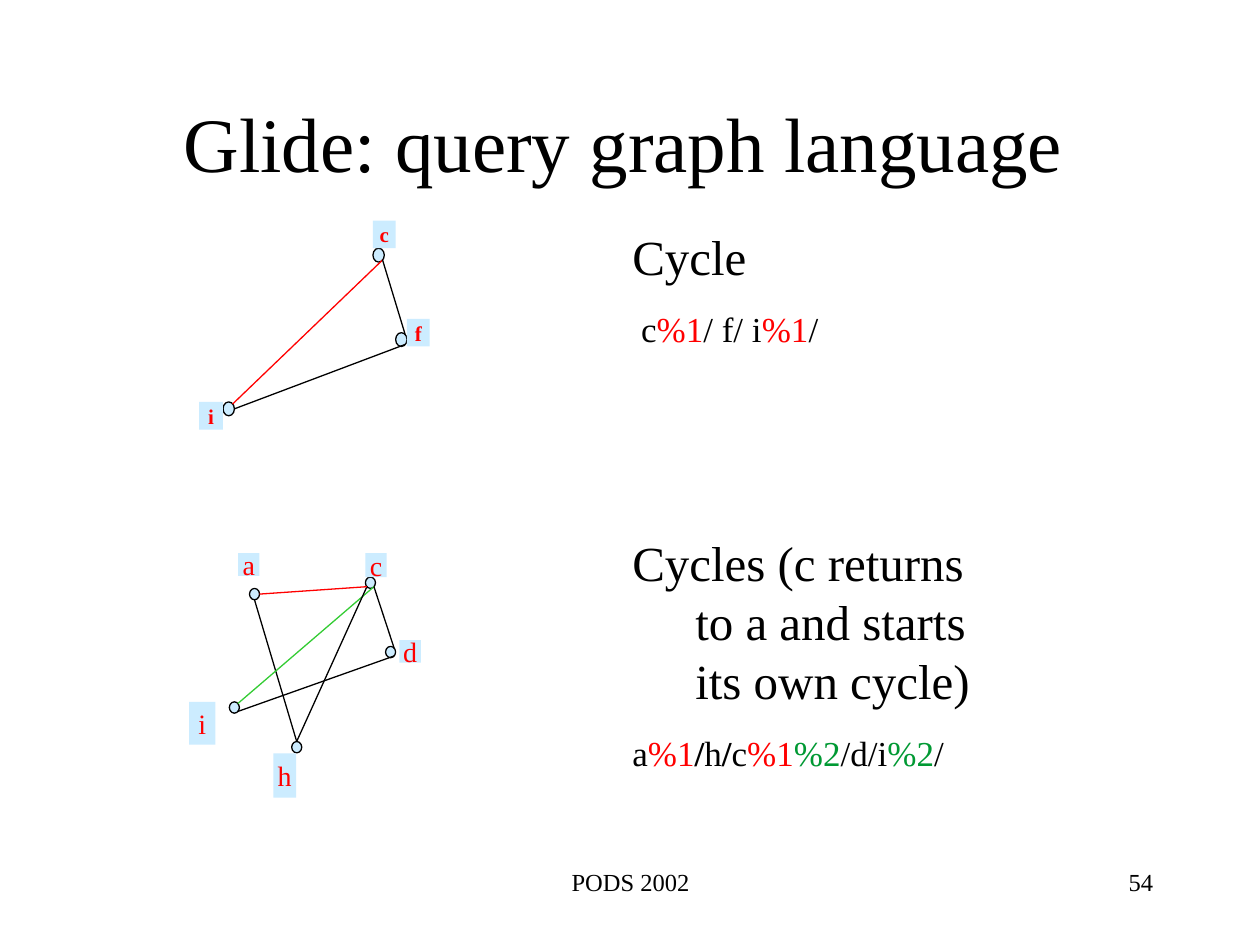
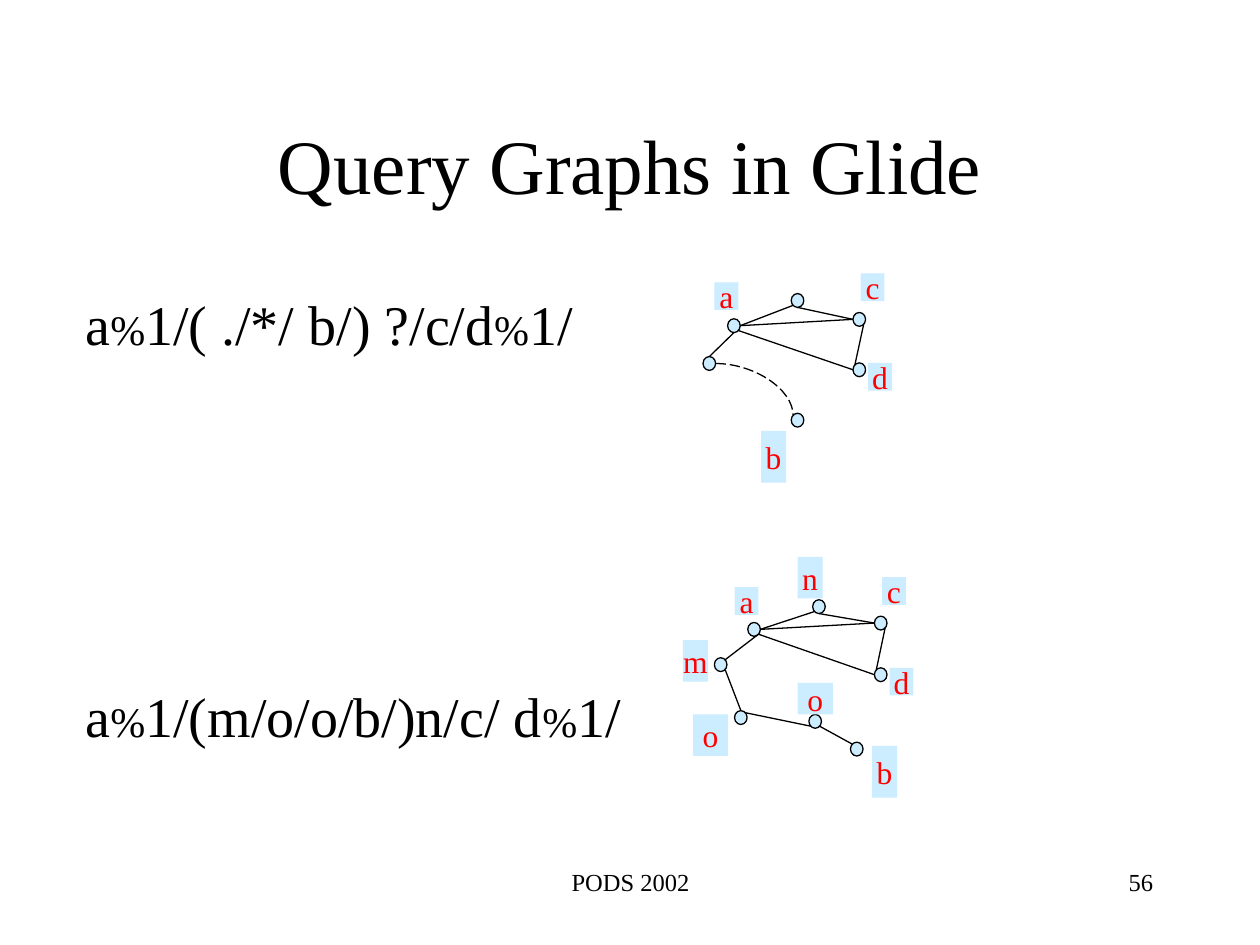
from collections import namedtuple
from dataclasses import dataclass

from lxml import etree
from pptx import Presentation
from pptx.dml.color import RGBColor
from pptx.enum.dml import MSO_LINE
from pptx.enum.shapes import MSO_CONNECTOR, MSO_SHAPE
from pptx.enum.text import MSO_ANCHOR, PP_ALIGN
from pptx.oxml.ns import qn
from pptx.util import Inches, Pt

LEFT, CENTER, RIGHT = PP_ALIGN.LEFT, PP_ALIGN.CENTER, PP_ALIGN.RIGHT
TOP, MIDDLE = MSO_ANCHOR.TOP, MSO_ANCHOR.MIDDLE
OVAL, RECTANGLE = MSO_SHAPE.OVAL, MSO_SHAPE.RECTANGLE
STRAIGHT, CURVE = MSO_CONNECTOR.STRAIGHT, MSO_CONNECTOR.CURVE
LONG_DASH = MSO_LINE.LONG_DASH

SLIDE_WIDTH, SLIDE_HEIGHT = Inches(10), Inches(7.5)
COLUMN, ROW = SLIDE_WIDTH / 100, SLIDE_HEIGHT / 75


@dataclass(frozen=True)
class Theme:
    font: str = "Times New Roman"
    ink: RGBColor = RGBColor(0x00, 0x00, 0x00)
    node: RGBColor = RGBColor(0xCC, 0xEC, 0xFF)
    red: RGBColor = RGBColor(0xFF, 0x00, 0x00)
    green_edge: RGBColor = RGBColor(0x33, 0xCC, 0x33)
    green_text: RGBColor = RGBColor(0x00, 0x99, 0x33)
    title: int = 44
    query: int = 32
    heading: int = 28
    percent: int = 24
    formula: int = 20
    footer: int = 14
    line: float = 0.75


THEME = Theme()

# All boxes are in columns and rows of the grid.
Box = namedtuple("Box", "left top width height")
Run = namedtuple("Run", "text color size bold", defaults=(None, None, None))
Edge = namedtuple("Edge", "start start_side end end_side color",
                  defaults=(THEME.ink,))
Graph = namedtuple("Graph", "node_size label_size label_bold nodes edges labels")

# Points on a node's rim, as shares of its width and height from its centre.
SIDES = {
    "n": (0, -0.5), "ne": (0.35, -0.35), "e": (0.5, 0), "se": (0.35, 0.35),
    "s": (0, 0.5), "sw": (-0.35, 0.35), "w": (-0.5, 0), "nw": (-0.35, -0.35),
}

CYCLE = Graph(
    node_size=(0.9, 1.1), label_size=12, label_bold=True,
    nodes={"i": (2.35, 14.95), "c": (14.25, 2.75), "f": (16.05, 9.45)},
    edges=[
        Edge("i", "ne", "c", "se", THEME.red),
        Edge("i", "e", "f", "se"),
        Edge("f", "ne", "c", "se"),
    ],
    labels=[
        ("c", Box(13.8, 0, 1.8, 2.2)),
        ("f", Box(16.5, 7.8, 1.8, 2.2)),
        ("i", Box(0, 14.4, 1.9, 2.2)),
    ],
)

TWO_CYCLES = Graph(
    node_size=(0.8, 0.9), label_size=16, label_bold=False,
    nodes={"a": (5.2, 3.25), "h": (8.55, 15.4), "c": (14.4, 2.35),
           "d": (16, 7.85), "i": (3.6, 12.25)},
    edges=[
        Edge("a", "s", "h", "n"),
        Edge("i", "ne", "c", "se", THEME.green_edge),
        Edge("i", "se", "d", "se"),
        Edge("d", "ne", "c", "se"),
        Edge("h", "n", "c", "sw"),
        Edge("a", "e", "c", "sw", THEME.red),
    ],
    labels=[
        ("a", Box(3.9, 0, 1.7, 1.8)),
        ("c", Box(14, 0, 1.7, 1.9)),
        ("h", Box(6.7, 15.9, 1.8, 3.5)),
        ("d", Box(16.7, 6.9, 1.7, 1.8)),
        ("i", Box(0, 11.8, 2.1, 3.4)),
    ],
)

FAN_EDGES = [
    Edge("d", "nw", "c", "se"),
    Edge("a", "se", "d", "w"),
    Edge("a", "e", "n", "sw"),
    Edge("n", "s", "c", "w"),
    Edge("a", "e", "c", "w"),
]

WILDCARD_PATH = Graph(
    node_size=(1, 1.1), label_size=18, label_bold=False,
    nodes={"a": (2.45, 4.15), "m": (0.5, 7.15), "b": (7.5, 11.65),
           "n": (7.5, 2.15), "c": (12.4, 3.65), "d": (12.4, 7.65)},
    edges=FAN_EDGES + [Edge("a", "s", "m", "n")],
    labels=[
        ("a", Box(0.9, 0.7, 1.9, 2.2)),
        ("c", Box(12.5, 0, 1.9, 2.2)),
        ("b", Box(4.6, 12.5, 2, 4.1)),
        ("d", Box(13.1, 7.1, 1.9, 2.2)),
    ],
)

NAMED_PATH = Graph(
    node_size=(1, 1.1), label_size=18, label_bold=False,
    nodes={"a": (5.65, 5.75), "b": (13.8, 15.25), "c": (15.7, 5.25),
           "d": (15.7, 9.35), "n": (10.8, 3.95), "m": (3, 8.55),
           "first o": (4.6, 12.75), "second o": (10.5, 13.05)},
    edges=FAN_EDGES + [
        Edge("a", "se", "m", "ne"),
        Edge("m", "se", "first o", "n"),
        Edge("first o", "ne", "second o", "sw"),
        Edge("second o", "se", "b", "nw"),
    ],
    labels=[
        ("a", Box(4.1, 2.4, 1.9, 2.2)),
        ("c", Box(15.8, 1.6, 1.9, 2.2)),
        ("b", Box(15, 15, 2, 4.1)),
        ("d", Box(16.4, 8.8, 1.9, 2.2)),
        ("m", Box(0, 6.6, 2, 3.3)),
        ("o", Box(0.8, 12.5, 2.8, 3.3)),
        ("n", Box(9.1, 0, 2, 3.3)),
        ("o", Box(9.1, 10, 2.8, 2.5)),
    ],
)


def to_slide(box):
    return (round(box.left * COLUMN), round(box.top * ROW),
            round(box.width * COLUMN), round(box.height * ROW))


def inside(box, part):
    return Box(box.left + part.left, box.top + part.top, part.width, part.height)


def style_paragraph(paragraph, size, color=THEME.ink, bold=False, align=LEFT):
    paragraph.alignment = align
    paragraph.font.name = THEME.font
    paragraph.font.size = Pt(size)
    paragraph.font.bold = bold
    paragraph.font.color.rgb = color


def add_runs(paragraph, runs):
    """Add runs that override the paragraph's font only where they differ."""
    for item in runs:
        run = paragraph.add_run()
        run.text = item.text
        run.font.name = THEME.font
        if item.color is not None:
            run.font.color.rgb = item.color
        if item.size is not None:
            run.font.size = Pt(item.size)
        if item.bold is not None:
            run.font.bold = item.bold


def add_text(slide, box, runs, size, align=LEFT, anchor=TOP):
    frame = slide.shapes.add_textbox(*to_slide(box)).text_frame
    frame.word_wrap = True
    frame.vertical_anchor = anchor
    style_paragraph(frame.paragraphs[0], size, align=align)
    add_runs(frame.paragraphs[0], runs)
    return frame


def add_node_shape(slide, kind, box):
    shape = slide.shapes.add_shape(kind, *to_slide(box))
    shape.shadow.inherit = False
    shape.fill.solid()
    shape.fill.fore_color.rgb = THEME.node
    return shape


def add_label(slide, box, text, graph):
    shape = add_node_shape(slide, RECTANGLE, box)
    shape.line.fill.background()
    frame = shape.text_frame
    frame.word_wrap = False
    frame.vertical_anchor = MIDDLE
    frame.text = text
    style_paragraph(frame.paragraphs[0], graph.label_size, THEME.red,
                    graph.label_bold, CENTER)


def add_edge(slide, box, graph, edge, kind=STRAIGHT):
    ends = []
    for name, side in ((edge.start, edge.start_side), (edge.end, edge.end_side)):
        (x, y), (across, down) = graph.nodes[name], SIDES[side]
        width, height = graph.node_size
        ends += [round((box.left + x + across * width) * COLUMN),
                 round((box.top + y + down * height) * ROW)]
    connector = slide.shapes.add_connector(kind, *ends)
    connector.line.color.rgb = edge.color
    connector.line.width = Pt(THEME.line)
    etree.SubElement(connector._element.spPr, qn("a:effectLst"))
    return connector


def add_graph(slide, box, graph):
    width, height = graph.node_size
    for x, y in graph.nodes.values():
        part = Box(x - width / 2, y - height / 2, width, height)
        node = add_node_shape(slide, OVAL, inside(box, part))
        node.line.color.rgb = THEME.ink
        node.line.width = Pt(THEME.line)
    for edge in graph.edges:
        add_edge(slide, box, graph, edge)
    for text, part in graph.labels:
        add_label(slide, inside(box, part), text, graph)


def add_wildcard_curve(slide, box, graph):
    """Draw the dashed quarter bend that stands for a path of any length."""
    curve = add_edge(slide, box, graph, Edge("m", "e", "b", "nw"), CURVE)
    curve.line.dash_style = LONG_DASH
    geometry = curve._element.spPr.find(qn("a:prstGeom"))
    geometry.set("prst", "curvedConnector2")


def add_explanation(slide, box, heading, formula):
    """Write a heading with a hanging indent and the coloured formula below it."""
    frame = add_text(slide, box, [Run(heading)], THEME.heading)
    properties = frame.paragraphs[0]._p.get_or_add_pPr()
    properties.set("marL", str(Inches(0.5)))
    properties.set("indent", str(-Inches(0.5)))
    paragraph = frame.add_paragraph()
    paragraph.space_before = Pt(12.5)
    style_paragraph(paragraph, THEME.formula)
    add_runs(paragraph, formula)


def add_query(slide, box, middle):
    percent = Run("%", size=THEME.percent)
    runs = [Run("a"), percent, Run(middle), percent, Run("1/")]
    add_text(slide, box, runs, THEME.query)


def add_frame(presentation, title, title_box, title_align, number):
    """Add a blank slide with its title and footer."""
    slide = presentation.slides.add_slide(presentation.slide_layouts[6])
    add_text(slide, title_box, [Run(title)], THEME.title, title_align, MIDDLE)
    add_text(slide, Box(34.2, 68.3, 31.7, 5), [Run("PODS 2002")],
             THEME.footer, CENTER)
    add_text(slide, Box(71.7, 68.3, 20.8, 5), [Run(str(number))],
             THEME.footer, RIGHT)
    return slide


def build_cycles_slide(presentation):
    slide = add_frame(presentation, "Glide: query graph language",
                      Box(13.6, 5, 78.9, 12.5), LEFT, 54)
    add_graph(slide, Box(15.8, 17.5, 18.3, 16.6), CYCLE)
    add_graph(slide, Box(15, 43.9, 18.4, 19.4), TWO_CYCLES)
    first = Run("%1", THEME.red)
    second = Run("%2", THEME.green_text)
    bold_slash = Run("/", bold=True)
    add_explanation(slide, Box(49.2, 17.5, 31.7, 12), "Cycle",
                    [Run(" c"), first, Run("/ f/ i"), first, Run("/")])
    add_explanation(slide, Box(49.2, 41.8, 31.7, 21),
                    "Cycles (c returns to a and starts its own cycle)",
                    [Run("a"), first, bold_slash, Run("h"), bold_slash, Run("c"),
                     first, second, Run("/d/i"), second, Run("/")])


def build_paths_slide(presentation):
    slide = add_frame(presentation, "Query Graphs in Glide",
                      Box(7.5, 6.7, 85, 12.5), CENTER, 56)
    add_query(slide, Box(5.8, 22.5, 46.7, 7), "1/( ./*/ b/) ?/c/d")
    add_query(slide, Box(5.8, 53.6, 46.7, 7), "1/(m/o/o/b/)n/c/ d")
    wildcard_box = Box(55.8, 21.7, 15, 16.6)
    add_graph(slide, wildcard_box, WILDCARD_PATH)
    add_wildcard_curve(slide, wildcard_box, WILDCARD_PATH)
    add_graph(slide, Box(54.2, 44.2, 18.3, 19.1), NAMED_PATH)


def main():
    presentation = Presentation()
    presentation.slide_width = SLIDE_WIDTH
    presentation.slide_height = SLIDE_HEIGHT
    build_cycles_slide(presentation)
    build_paths_slide(presentation)
    presentation.save("out.pptx")


if __name__ == "__main__":
    main()
